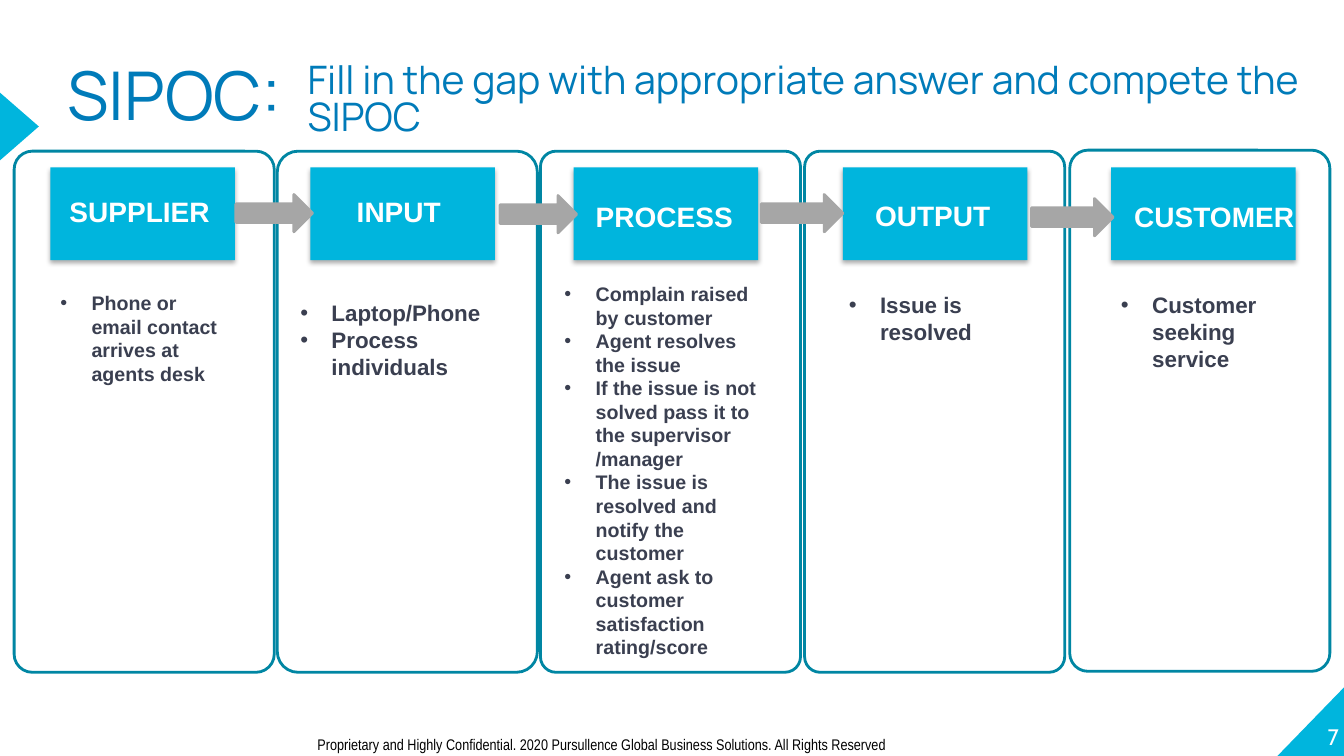
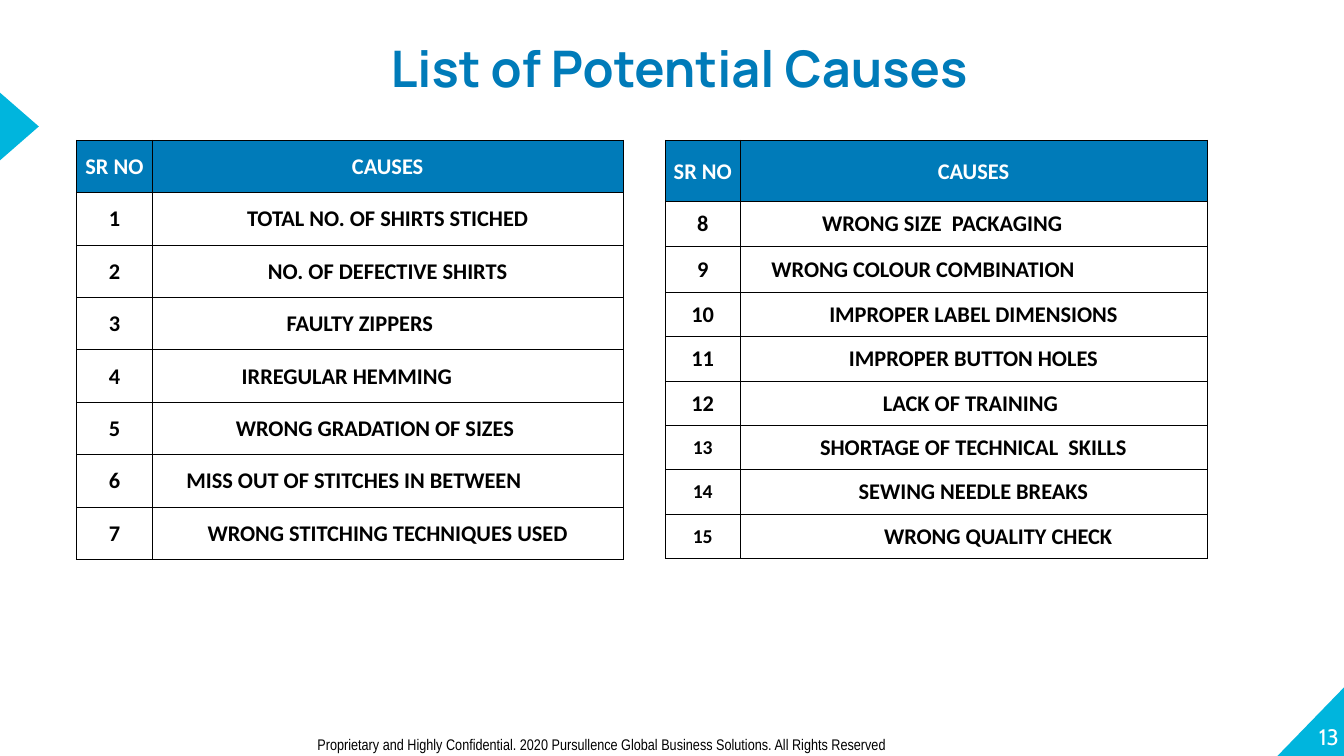
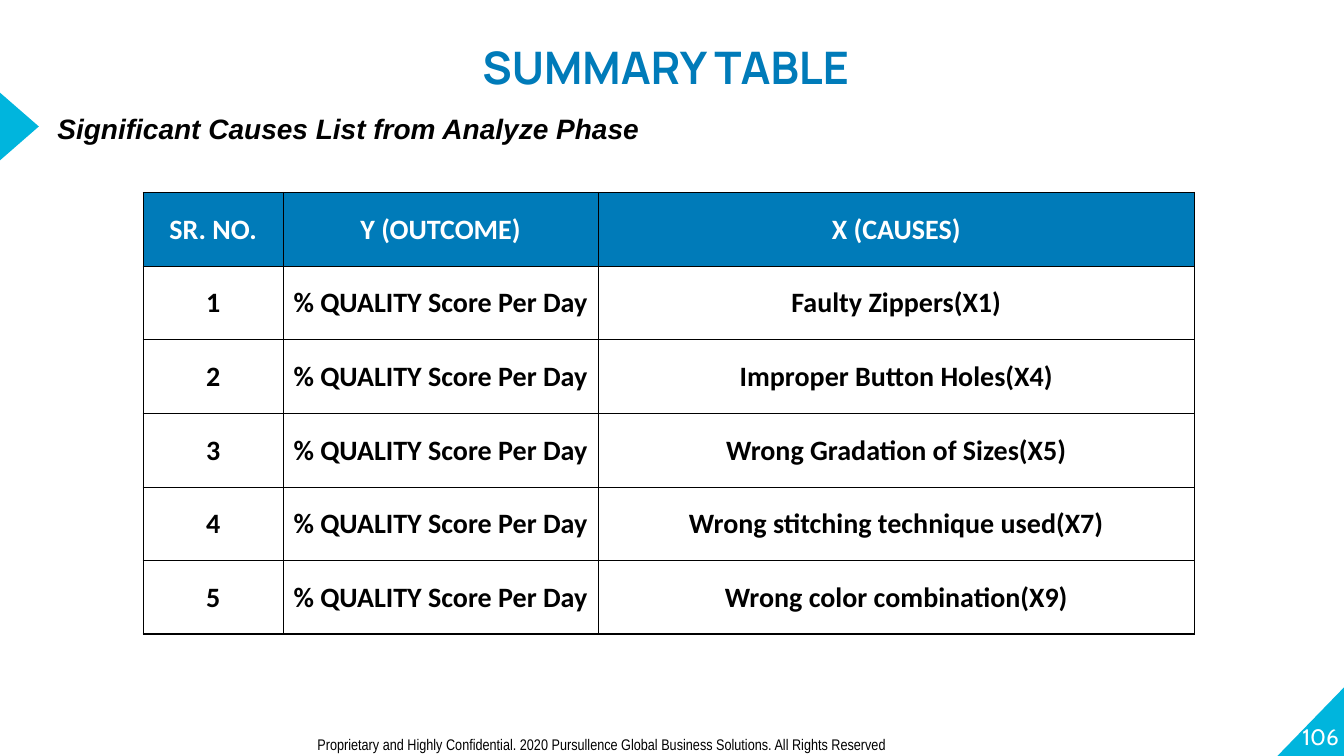
"""Build three process-improvement slides: SIPOC, potential causes and summary."""
import dataclasses
import typing

import pptx
import pptx.dml.color
import pptx.enum.shapes
import pptx.enum.text
import pptx.oxml.ns
import pptx.oxml.xmlchemy
import pptx.util
from lxml import etree

PX = 9144
WIDTH, HEIGHT = 1333, 750
COLORS = {
    "cyan": "00B5DD",
    "blue": "007BB9",
    "teal": "0086A3",
    "grey": "A6A6A6",
    "slate": "3A3F50",
    "black": "000000",
    "white": "FFFFFF",
}
FOOTER = ("Proprietary and Highly Confidential. 2020 Pursullence Global Business "
          "Solutions. All Rights Reserved")
SHAPE = pptx.enum.shapes.MSO_SHAPE
ALIGN = pptx.enum.text.PP_ALIGN
ANCHOR = pptx.enum.text.MSO_ANCHOR
Box = tuple[int, int, int, int]


@dataclasses.dataclass(frozen=True)
class Column:
    """One SIPOC column: its panel, heading and list."""
    label: str
    panel: tuple[int, int]
    corner: float
    head_x: int
    label_box: Box
    list_box: Box
    size: int
    items: list[str]


@dataclasses.dataclass(frozen=True)
class Cell:
    """Table cell text with an optional size and extra side margins."""
    text: str
    size: int | None = None
    left: int = 0
    right: int = 0


@dataclasses.dataclass(frozen=True)
class Grid:
    """A bordered table with a blue header row."""
    x: int
    y: int
    widths: list[int]
    heights: list[int]
    size: int
    outer: float
    rows: list[list[Cell]]


COLUMNS = [
    Column("SUPPLIER", (14, 150), 0.07, 50, (59, 188, 181, 50), (50, 284, 183, 104), 14,
           ["Phone or email contact arrives at agents desk"]),
    Column("INPUT", (275, 150), 0.08, 308, (344, 188, 136, 50), (288, 292, 233, 91), 16,
           ["Laptop/Phone", "Process individuals"]),
    Column("PROCESS", (536, 150), 0.06, 569, (581, 193, 174, 50), (550, 275, 222, 387), 14,
           ["Complain raised by customer", "Agent resolves the issue",
            "If the issue is not solved pass it to the supervisor /manager",
            "The issue is resolved and notify the customer",
            "Agent ask to customer satisfaction rating/score"]),
    Column("OUTPUT", (798, 150), 0.06, 836, (858, 192, 198, 50), (832, 284, 186, 64), 16,
           ["Issue is resolved"]),
    Column("CUSTOMER", (1061, 149), 0.07, 1102, (1115, 193, 204, 50), (1102, 284, 183, 91), 16,
           ["Customer seeking service"]),
]
ARROWS: list[Box] = [(234, 193, 76, 37), (496, 194, 76, 37),
                     (755, 193, 81, 37), (1023, 197, 81, 37)]

FIRST_CAUSES = [
    Cell("TOTAL NO. OF SHIRTS STICHED"),
    Cell("NO. OF DEFECTIVE SHIRTS"),
    Cell("FAULTY ZIPPERS", right=55),
    Cell("IRREGULAR HEMMING", right=81),
    Cell("WRONG GRADATION OF SIZES", right=25),
    Cell("MISS OUT OF STITCHES IN BETWEEN", right=67),
    Cell("WRONG STITCHING TECHNIQUES USED"),
]
MORE_CAUSES = [
    Cell("WRONG SIZE  PACKAGING", right=62),
    Cell("WRONG COLOUR COMBINATION", right=100),
    Cell("IMPROPER LABEL DIMENSIONS"),
    Cell("IMPROPER BUTTON HOLES"),
    Cell("LACK OF TRAINING", right=6),
    Cell("SHORTAGE OF TECHNICAL  SKILLS"),
    Cell("SEWING NEEDLE BREAKS"),
    Cell("WRONG QUALITY CHECK", left=49),
]
SIGNIFICANT_CAUSES = [
    "Faulty Zippers(X1)", "Improper Button Holes(X4)", "Wrong Gradation of Sizes(X5)",
    "Wrong stitching technique used(X7)", "Wrong color combination(X9)",
]


def px(n: int) -> pptx.util.Emu:
    """Turn px into EMU."""
    return pptx.util.Emu(n * PX)


def emu(box: Box) -> list[pptx.util.Emu]:
    """Turn a px box into EMU."""
    return [px(n) for n in box]


def rgb(name: str) -> pptx.dml.color.RGBColor:
    """Look up a named colour."""
    return pptx.dml.color.RGBColor.from_string(COLORS[name])


def child(parent: typing.Any, tag: str, **attrs: typing.Any) -> typing.Any:
    """Append a drawing element with attributes."""
    e = etree.SubElement(parent, pptx.oxml.ns.qn(tag))
    for key, value in attrs.items():
        e.set(key, str(value))
    return e


def write(tf: typing.Any, text: str | list[str], *, font: str = "Arial", size: int = 16,
          color: str = "black", bold: bool = False, italic: bool = False,
          align: typing.Any = ALIGN.LEFT, spacing: float | None = None,
          bullet: bool = False) -> None:
    """Fill a text frame with formatted paragraphs."""
    lines = [text] if isinstance(text, str) else text
    for i, line in enumerate(lines):
        p = tf.add_paragraph() if i else tf.paragraphs[0]
        if bullet:
            ppr = p._p.get_or_add_pPr()
            ppr.set("marL", str(px(31)))
            ppr.set("indent", str(px(-31)))
            child(ppr, "a:buFont", typeface="Arial")
            child(ppr, "a:buChar", char="•")
        p.alignment = align
        if spacing:
            p.line_spacing = spacing
        r = p.add_run()
        r.text = line
        r.font.name, r.font.size = font, pptx.util.Pt(size)
        r.font.bold, r.font.italic = bold, italic
        r.font.color.rgb = rgb(color)


def frame(sp: typing.Any, *, anchor: typing.Any = ANCHOR.TOP, inset: bool = True) -> typing.Any:
    """Set wrapping, anchor and insets of a shape's text frame."""
    tf = sp.text_frame
    tf.word_wrap = True
    tf.auto_size = pptx.enum.text.MSO_AUTO_SIZE.NONE
    tf.vertical_anchor = anchor
    if not inset:
        tf.margin_left = tf.margin_right = tf.margin_top = tf.margin_bottom = 0
    return tf


def add_text(s: typing.Any, box: Box, text: str | list[str], *, anchor: typing.Any = ANCHOR.TOP,
             inset: bool = True, **style: typing.Any) -> None:
    """Add a wrapped text box."""
    write(frame(s.shapes.add_textbox(*emu(box)), anchor=anchor, inset=inset), text, **style)


def add_shape(s: typing.Any, kind: typing.Any, box: Box, *, fill: str | None = None,
              line: str | None = None) -> typing.Any:
    """Add a flat preset shape."""
    sp = s.shapes.add_shape(kind, *emu(box))
    sp.shadow.inherit = False
    if fill:
        sp.fill.solid()
        sp.fill.fore_color.rgb = rgb(fill)
    else:
        sp.fill.background()
    if line:
        sp.line.color.rgb = rgb(line)
        sp.line.width = pptx.util.Pt(2)
    else:
        sp.line.fill.background()
    return sp


def add_drop_shadow(sp: typing.Any) -> None:
    """Give a shape a soft shadow below."""
    effects = sp._element.spPr.find(pptx.oxml.ns.qn("a:effectLst"))
    shadow = child(effects, "a:outerShdw", blurRad=pptx.util.Pt(3.5), dist=pptx.util.Pt(2.2),
                   dir=5400000, algn="t", rotWithShape=0)
    child(child(shadow, "a:srgbClr", val=COLORS["black"]), "a:alpha", val=32000)


def new_slide(prs: typing.Any, number: int, title: str, box: Box, *,
              anchor: typing.Any = ANCHOR.TOP, **style: typing.Any) -> typing.Any:
    """Add a slide with its title, corner marks, number and footer."""
    s = prs.slides.add_slide(prs.slide_layouts[5])
    corner = add_shape(s, SHAPE.RIGHT_TRIANGLE, (1267, 682, 66, 68), fill="cyan")
    corner._element.spPr.xfrm.set("flipH", "1")
    add_shape(s, SHAPE.ISOSCELES_TRIANGLE, (-15, 106, 68, 39), fill="cyan").rotation = 90
    add_text(s, (1261, 676, 67, 68), str(number), anchor=ANCHOR.BOTTOM, inset=False,
             font="Cabin", color="white", align=ALIGN.RIGHT)
    add_text(s, (305, 724, 851, 26), FOOTER, font="Arial Narrow", size=11)
    sp = s.shapes.title
    sp.left, sp.top, sp.width, sp.height = emu(box)
    write(frame(sp, anchor=anchor, inset=False), title, font="Manrope", color="blue", **style)
    return s


def add_column(s: typing.Any, col: Column) -> None:
    """Draw one SIPOC column."""
    head = add_shape(s, SHAPE.RECTANGLE, (col.head_x, 166, 183, 92), fill="cyan")
    add_drop_shadow(head)
    add_text(s, col.label_box, col.label, size=20, color="white", bold=True)
    panel = add_shape(s, SHAPE.ROUNDED_RECTANGLE, (*col.panel, 258, 517), line="teal")
    panel.adjustments[0] = col.corner
    add_text(s, col.list_box, col.items, size=col.size, color="slate", bold=True, bullet=True)


def add_borders(cell: typing.Any, widths: dict[str, float]) -> None:
    """Draw the four borders of a cell."""
    tcpr = cell._tc.get_or_add_tcPr()
    for side, width in widths.items():
        ln = child(tcpr, f"a:ln{side}", w=pptx.util.Pt(width))
        child(child(ln, "a:solidFill"), "a:srgbClr", val=COLORS["black"])


def add_grid(s: typing.Any, grid: Grid) -> None:
    """Draw a table from its grid description."""
    n_rows, n_cols = len(grid.heights), len(grid.widths)
    box = (grid.x, grid.y, sum(grid.widths), sum(grid.heights))
    table = s.shapes.add_table(n_rows, n_cols, *emu(box)).table
    table.first_row = table.horz_banding = False
    for column, width in zip(table.columns, grid.widths):
        column.width = px(width)
    for row, height in zip(table.rows, grid.heights):
        row.height = px(height)
    for i, row in enumerate(grid.rows):
        for j, item in enumerate(row):
            cell = table.cell(i, j)
            edges = {"L": j == 0, "R": j == n_cols - 1, "T": i == 0, "B": i == n_rows - 1}
            add_borders(cell, {k: grid.outer if v else 0.5 for k, v in edges.items()})
            if i == 0:
                cell.fill.solid()
                cell.fill.fore_color.rgb = rgb("blue")
            else:
                cell.fill.background()
            cell.margin_left, cell.margin_right = px(1 + item.left), px(1 + item.right)
            cell.margin_top, cell.margin_bottom = px(1), 0
            cell.vertical_anchor = ANCHOR.MIDDLE
            write(cell.text_frame, item.text, font="Calibri", size=item.size or grid.size,
                  color="black" if i else "white", bold=True, align=ALIGN.CENTER)


def cause_rows(start: int, causes: list[Cell]) -> list[list[Cell]]:
    """Number the causes, with smaller numerals from 13 on."""
    rows = [[Cell(str(n), size=14 if n > 12 else None), cause]
            for n, cause in enumerate(causes, start)]
    return [[Cell("SR NO"), Cell("CAUSES")], *rows]


def sipoc_slide(prs: typing.Any) -> None:
    """Build the SIPOC slide."""
    s = new_slide(prs, 7, "SIPOC:", (67, 63, 238, 74), anchor=ANCHOR.MIDDLE, size=48, spacing=0.8)
    add_text(s, (305, 64, 1028, 74),
             "Fill in the gap with appropriate answer and compete the SIPOC",
             anchor=ANCHOR.MIDDLE, inset=False, font="Manrope", size=28, color="blue", spacing=0.8)
    for col in COLUMNS:
        add_column(s, col)
    for box in ARROWS:
        add_shape(s, SHAPE.RIGHT_ARROW, box, fill="grey", line="grey")


def causes_slide(prs: typing.Any) -> None:
    """Build the potential causes slide."""
    s = new_slide(prs, 13, "List of Potential Causes", (188, 7, 971, 76),
                  size=36, bold=True, align=ALIGN.CENTER, spacing=1.5)
    add_grid(s, Grid(76, 139, [75, 467], [52] * 8, 16, 0.5, cause_rows(1, FIRST_CAUSES)))
    add_grid(s, Grid(660, 139, [74, 463], [61, 44, 46] + [44] * 6, 16, 0.5,
                     cause_rows(8, MORE_CAUSES)))


def summary_slide(prs: typing.Any) -> None:
    """Build the summary table slide."""
    s = new_slide(prs, 106, "SUMMARY TABLE", (330, 13, 661, 91),
                  size=32, bold=True, align=ALIGN.CENTER, spacing=1.5)
    add_text(s, (47, 106, 599, 44), "Significant Causes List from Analyze Phase",
             size=20, bold=True, italic=True)
    rows = [[Cell("SR. NO."), Cell("Y (OUTCOME)"), Cell("X (CAUSES)")]]
    rows += [[Cell(str(n)), Cell("% QUALITY Score Per Day"), Cell(cause)]
             for n, cause in enumerate(SIGNIFICANT_CAUSES, 1)]
    add_grid(s, Grid(142, 191, [139, 312, 592], [73] * 6, 20, 1, rows))


def main() -> None:
    """Build and save the presentation."""
    prs = pptx.Presentation()
    prs.slide_width, prs.slide_height = px(WIDTH), px(HEIGHT)
    sipoc_slide(prs)
    causes_slide(prs)
    summary_slide(prs)
    prs.save("out.pptx")


if __name__ == "__main__":
    main()
